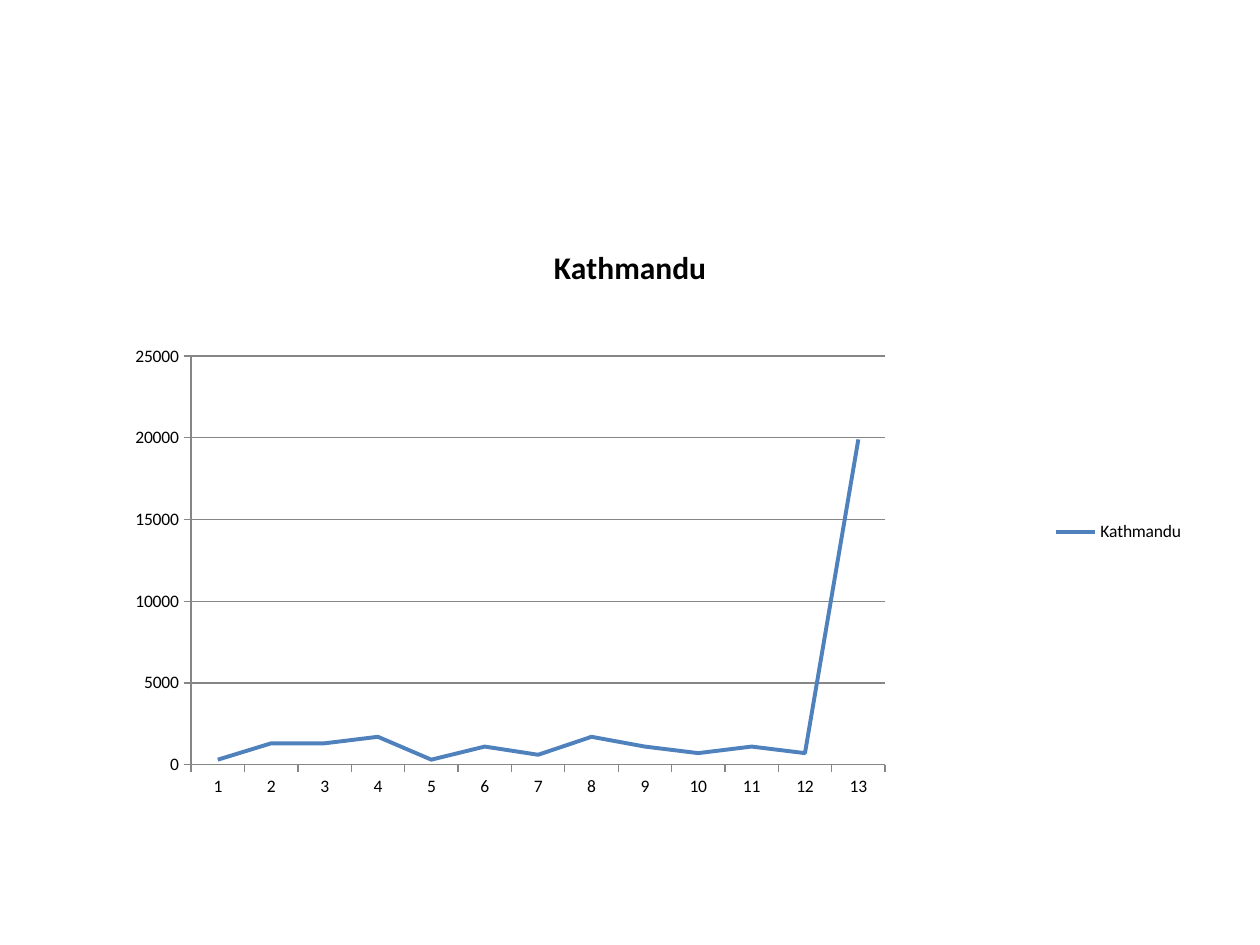
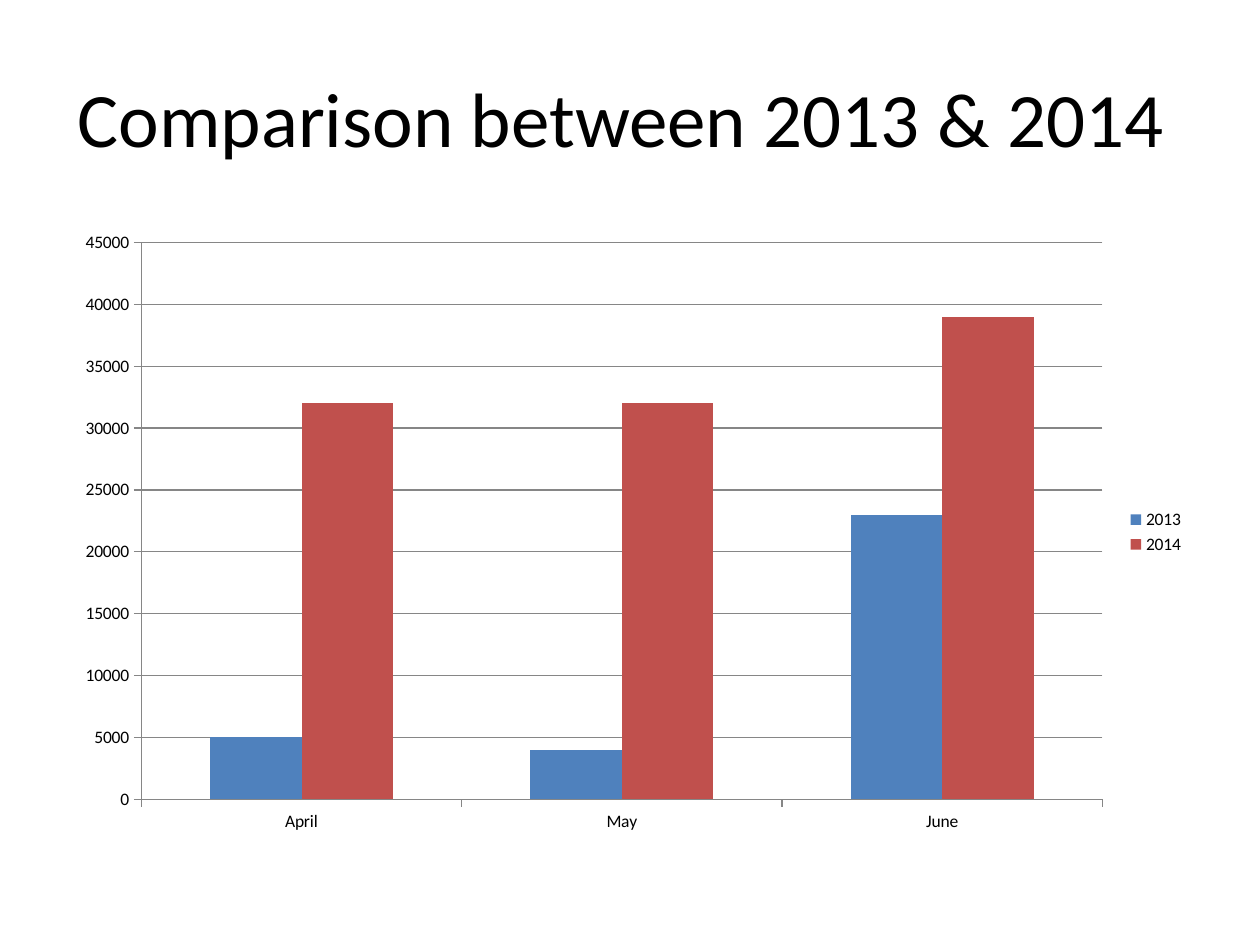
import pptx
import pptx.chart.data
import pptx.dml.color
import pptx.enum.chart
import pptx.enum.text
import pptx.oxml
import pptx.oxml.ns
import pptx.util

FONT = "Calibri"
BLACK, GREY, WHITE = "000000", "868686", "FFFFFF"
SERIES_COLOURS = ["4F81BD", "C0504D"]
TITLE_ONLY, BLANK = 5, 6

# Places as shares of the slide: left, top, width, height
TITLE_AREA = (0.05, 0.04, 0.9, 0.167)
CHART_AREA = (0.05, 0.233, 0.9, 0.66)


def colour(hex_code):
    return pptx.dml.color.RGBColor.from_string(hex_code)


class Deck:
    """Shared style plus the slide being built."""

    def __init__(self):
        self.prs = pptx.Presentation()
        self.prs.slide_width = pptx.util.Inches(10)
        self.prs.slide_height = pptx.util.Inches(7.5)
        self.slide = None

    def place(self, area):
        width, height = self.prs.slide_width, self.prs.slide_height
        return [round(share * side) for share, side in zip(area, (width, height) * 2)]

    def style_font(self, font, size, bold=False):
        font.name = FONT
        font.size = pptx.util.Pt(size)
        font.bold = bold
        font.color.rgb = colour(BLACK)

    def add_slide(self, layout):
        self.slide = self.prs.slides.add_slide(self.prs.slide_layouts[layout])
        fill = self.slide.background.fill
        fill.solid()
        fill.fore_color.rgb = colour(WHITE)

    def title(self, text):
        heading = self.slide.shapes.title
        heading.left, heading.top, heading.width, heading.height = self.place(TITLE_AREA)
        frame = heading.text_frame
        frame.text = text
        frame.vertical_anchor = pptx.enum.text.MSO_ANCHOR.MIDDLE
        paragraph = frame.paragraphs[0]
        paragraph.alignment = pptx.enum.text.PP_ALIGN.CENTER
        self.style_font(paragraph.runs[0].font, 44)

    def chart(self, kind, categories, series, number_format="General"):
        data = pptx.chart.data.CategoryChartData(number_format=number_format)
        data.categories = categories
        for name, values in series.items():
            data.add_series(name, values)
        chart = self.slide.shapes.add_chart(kind, *self.place(CHART_AREA), data).chart
        self.style_font(chart.font, 10)
        chart.has_title = False
        chart.has_legend = True
        chart.legend.position = pptx.enum.chart.XL_LEGEND_POSITION.RIGHT
        chart.legend.include_in_layout = False
        chart.plots[0].vary_by_categories = False

        # Axes and gridlines
        for axis in (chart.category_axis, chart.value_axis):
            axis.major_tick_mark = pptx.enum.chart.XL_TICK_MARK.OUTSIDE
            self.style_line(axis.format.line, GREY, 0.75)
        chart.category_axis.has_major_gridlines = False
        chart.value_axis.has_major_gridlines = True
        self.style_line(chart.value_axis.major_gridlines.format.line, GREY, 0.75)
        chart.value_axis.tick_labels.number_format = number_format
        chart.value_axis.tick_labels.number_format_is_linked = False
        return chart

    def style_line(self, line, hex_code, width):
        line.color.rgb = colour(hex_code)
        line.width = pptx.util.Pt(width)

    def line_chart(self, heading, categories, series, plot_area):
        chart = self.chart(pptx.enum.chart.XL_CHART_TYPE.LINE, categories, series, "0")
        chart.has_title = True
        chart.chart_title.include_in_layout = False
        frame = chart.chart_title.text_frame
        frame.text = heading
        self.style_font(frame.paragraphs[0].runs[0].font, 18, bold=True)
        for trend, hex_code in zip(chart.plots[0].series, SERIES_COLOURS):
            trend.smooth = False
            trend.marker.style = pptx.enum.chart.XL_MARKER_STYLE.NONE
            self.style_line(trend.format.line, hex_code, 2.25)
        self.fix_plot_area(chart, plot_area)

    def column_chart(self, categories, series):
        chart = self.chart(pptx.enum.chart.XL_CHART_TYPE.COLUMN_CLUSTERED, categories, series)
        plot = chart.plots[0]
        plot.gap_width, plot.overlap = 150, 0
        for year, hex_code in zip(plot.series, SERIES_COLOURS):
            year.invert_if_negative = False
            year.format.fill.solid()
            year.format.fill.fore_color.rgb = colour(hex_code)

    def fix_plot_area(self, chart, shares):
        """Pin the inner plot area to shares of the chart's size."""
        qn = pptx.oxml.ns.qn
        area = chart.element.find(f".//{qn('c:plotArea')}")
        for layout in area.findall(qn("c:layout")):
            area.remove(layout)
        settings = [("layoutTarget", "inner"), ("xMode", "edge"), ("yMode", "edge")]
        settings += zip("xywh", shares)
        tags = "".join(f'<c:{tag} val="{value}"/>' for tag, value in settings)
        area.insert(0, pptx.oxml.parse_xml(
            f"<c:layout {pptx.oxml.ns.nsdecls('c')}>"
            f"<c:manualLayout>{tags}</c:manualLayout></c:layout>"))


def main():
    deck = Deck()

    # Kathmandu over thirteen periods
    deck.add_slide(BLANK)
    kathmandu = [300, 1300, 1300, 1700, 300, 1100, 600, 1700, 1100, 700, 1100, 700, 19900]
    periods = [str(number) for number in range(1, len(kathmandu) + 1)]
    deck.line_chart("Kathmandu", periods, {"Kathmandu": kathmandu},
                    plot_area=(0.113, 0.218, 0.612, 0.655))

    # Spring months of two years side by side
    deck.add_slide(TITLE_ONLY)
    deck.title("Comparison between 2013 & 2014 ")
    deck.column_chart(["April", "May", "June"],
                      {"2013": [5000, 4000, 23000], "2014": [32000, 32000, 39000]})

    deck.prs.save("out.pptx")


if __name__ == "__main__":
    main()
